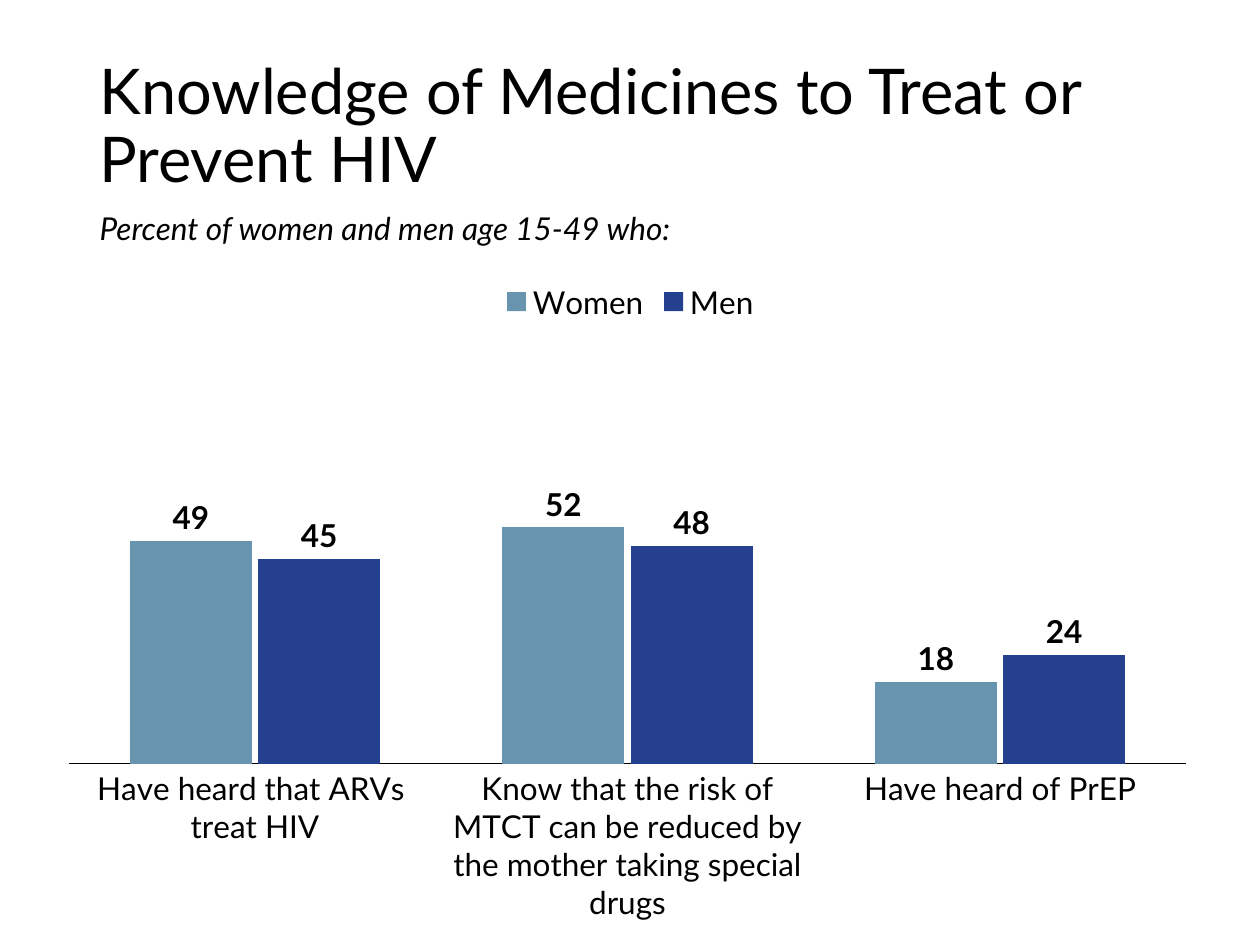
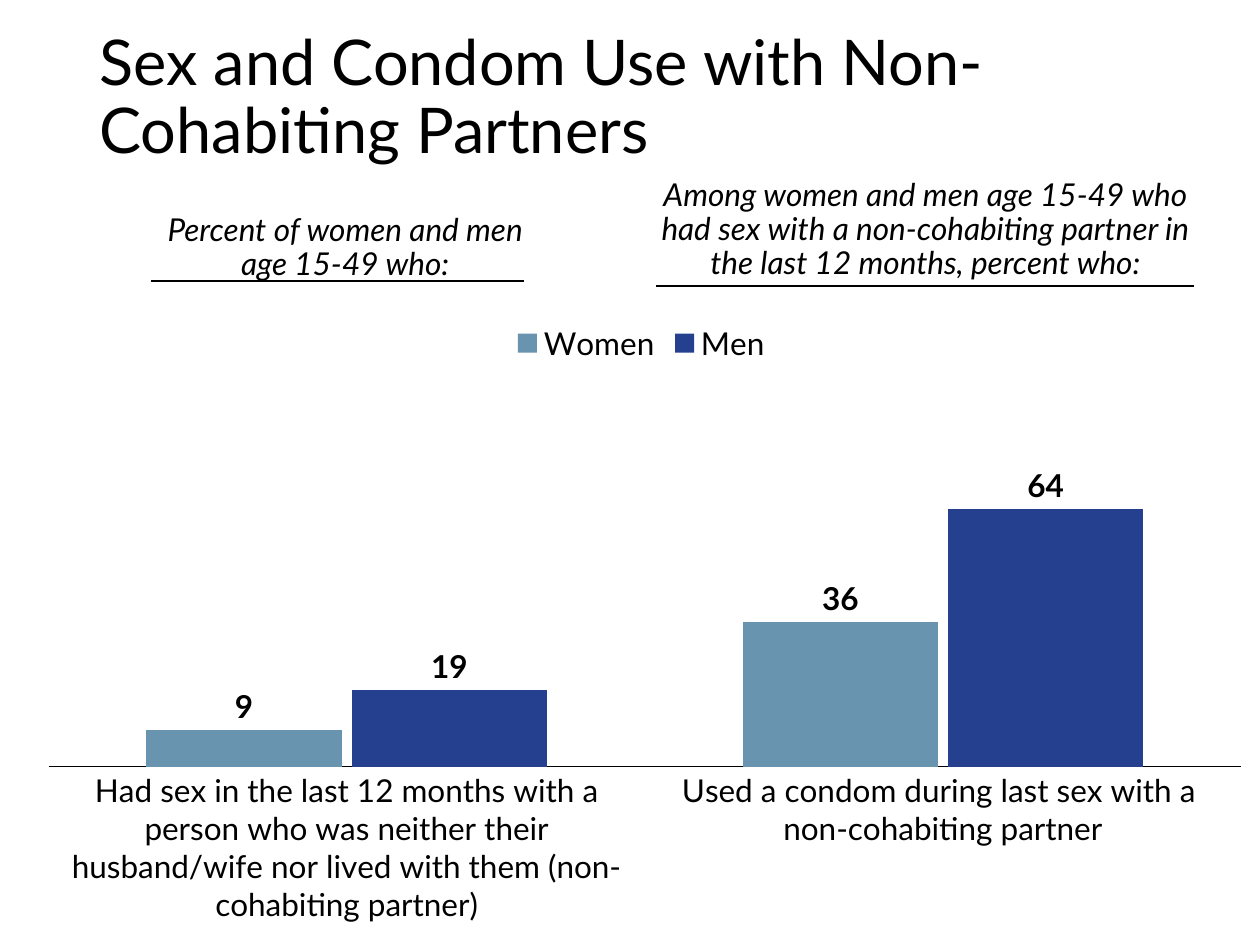
import pptx
import pptx.chart.data
import pptx.dml.color
import pptx.enum.chart
import pptx.enum.shapes
import pptx.enum.text
import pptx.oxml
import pptx.oxml.ns
import pptx.util
from dataclasses import dataclass
from lxml import etree

Inches = pptx.util.Inches
Pt = pptx.util.Pt
Color = pptx.dml.color.RGBColor
Align = pptx.enum.text.PP_ALIGN


@dataclass(frozen=True)
class Theme:
    font: str = "Lato"
    ink: Color = Color(0x00, 0x00, 0x00)
    women: Color = Color(0x68, 0x94, 0xAF)
    men: Color = Color(0x25, 0x40, 0x8F)
    title_size: int = 36
    text_size: int = 18


theme = Theme()


def write_text(shape, box, text, size, align=Align.LEFT, italic=False, space_before=0):
    """Place a text shape and fill it with one unbulleted paragraph."""
    shape.left, shape.top, shape.width, shape.height = [Inches(n) for n in box]
    frame = shape.text_frame
    frame.word_wrap = True
    frame.auto_size = pptx.enum.text.MSO_AUTO_SIZE.NONE
    paragraph = frame.paragraphs[0]
    paragraph.alignment = align
    paragraph.line_spacing = 0.9
    paragraph.space_before = Pt(space_before)
    properties = paragraph._p.get_or_add_pPr()
    properties.set("marL", "0")
    properties.set("indent", "0")
    etree.SubElement(properties, pptx.oxml.ns.qn("a:buNone"))
    run = paragraph.add_run()
    run.text = text
    run.font.name = theme.font
    run.font.size = Pt(size)
    run.font.italic = italic
    run.font.color.rgb = theme.ink


def add_column_chart(slide, box, plot_box, categories, women, men):
    """Add a women and men column chart with a fixed inner plot area."""
    data = pptx.chart.data.CategoryChartData(number_format="0")
    data.categories = categories
    data.add_series("Women", women)
    data.add_series("Men", men)
    chart = slide.shapes.add_chart(
        pptx.enum.chart.XL_CHART_TYPE.COLUMN_CLUSTERED,
        *[Inches(n) for n in box], data).chart
    chart.has_title = False
    chart.font.name = theme.font
    chart.font.size = Pt(theme.text_size)
    chart.font.color.rgb = theme.ink

    # Legend
    chart.has_legend = True
    chart.legend.position = pptx.enum.chart.XL_LEGEND_POSITION.TOP
    chart.legend.include_in_layout = False

    # Axes
    value_axis = chart.value_axis
    value_axis.minimum_scale = 0
    value_axis.maximum_scale = 100
    value_axis.has_major_gridlines = False
    value_axis.visible = False
    category_axis = chart.category_axis
    category_axis.major_tick_mark = pptx.enum.chart.XL_TICK_MARK.NONE
    category_axis.format.line.color.rgb = theme.ink
    category_axis.format.line.width = Pt(0.75)

    # Columns and value labels
    plot = chart.plots[0]
    plot.gap_width = 100
    plot.overlap = -5
    plot.vary_by_categories = False
    for series, color in zip(plot.series, (theme.women, theme.men)):
        series.format.fill.solid()
        series.format.fill.fore_color.rgb = color
        labels = series.data_labels
        labels.show_value = True
        labels.position = pptx.enum.chart.XL_LABEL_POSITION.OUTSIDE_END
        labels.font.name = theme.font
        labels.font.size = Pt(theme.text_size)
        labels.font.bold = True
        labels.font.color.rgb = theme.ink

    # Plot area, as fractions of the chart
    plot_area = chart._chartSpace.chart.plotArea
    for old_layout in plot_area.findall(pptx.oxml.ns.qn("c:layout")):
        plot_area.remove(old_layout)
    settings = [("layoutTarget", "inner"), ("xMode", "edge"), ("yMode", "edge")]
    settings += zip("xywh", plot_box)
    items = "".join(f'<c:{name} val="{value}"/>' for name, value in settings)
    plot_area.insert(0, pptx.oxml.parse_xml(
        f'<c:layout {pptx.oxml.ns.nsdecls("c")}>'
        f"<c:manualLayout>{items}</c:manualLayout></c:layout>"))


presentation = pptx.Presentation()
presentation.slide_width = Inches(10)
presentation.slide_height = Inches(7.5)
layout = presentation.slide_layouts[1]
population = "Percent of women and men age 15-49 who:"

# Slide 1: knowledge of medicines
slide = presentation.slides.add_slide(layout)
write_text(slide.shapes.title, (0.69, 0.4, 8.62, 1.23),
           "Knowledge of Medicines to Treat or Prevent HIV", theme.title_size)
write_text(slide.placeholders[1], (0.69, 1.64, 8.62, 0.46), population,
           theme.text_size, italic=True, space_before=10)
add_column_chart(
    slide, (0.54, 2.12, 8.92, 5.2), (0, 0.065, 0.995, 0.693),
    ["Have heard that ARVs \ntreat HIV",
     "Know that the risk of MTCT can be reduced by the mother taking special drugs",
     "Have heard of PrEP"],
    women=(49, 52, 18), men=(45, 48, 24))

# Slide 2: non-cohabiting partners
slide = presentation.slides.add_slide(layout)
add_column_chart(
    slide, (0.31, 2.45, 9.56, 4.88), (0.008, 0.091, 0.99, 0.655),
    ["Had sex in the last 12 months with a person who was neither their "
     "husband/wife nor lived with them (non-cohabiting partner)",
     "Used a condom during last sex with a \nnon-cohabiting partner"],
    women=(9, 36), men=(19, 64))
write_text(slide.shapes.title, (0.69, 0.28, 8.62, 1.02),
           "Sex and Condom Use with Non-Cohabiting Partners", theme.title_size)

# Column headings, each with a rule below
partner_heading = slide.shapes.add_textbox(0, 0, 0, 0)
headings = [
    (slide.placeholders[1], (1.08, 1.65, 3.32, 0.8), population, (1.2, 4.16, 2.23)),
    (partner_heading, (5, 1.37, 4.69, 1.02),
     "Among women and men age 15-49 who had sex with a non-cohabiting partner "
     "in the last 12 months, percent who:", (5.21, 9.48, 2.27)),
]
for shape, box, text, (start, end, height) in headings:
    write_text(shape, box, text, theme.text_size, Align.CENTER,
               italic=True, space_before=10)
    rule = slide.shapes.add_connector(
        pptx.enum.shapes.MSO_CONNECTOR.STRAIGHT,
        Inches(start), Inches(height), Inches(end), Inches(height))
    rule.line.color.rgb = theme.ink
    rule.line.width = Pt(1)
    etree.SubElement(rule._element.spPr, pptx.oxml.ns.qn("a:effectLst"))

presentation.save("out.pptx")
